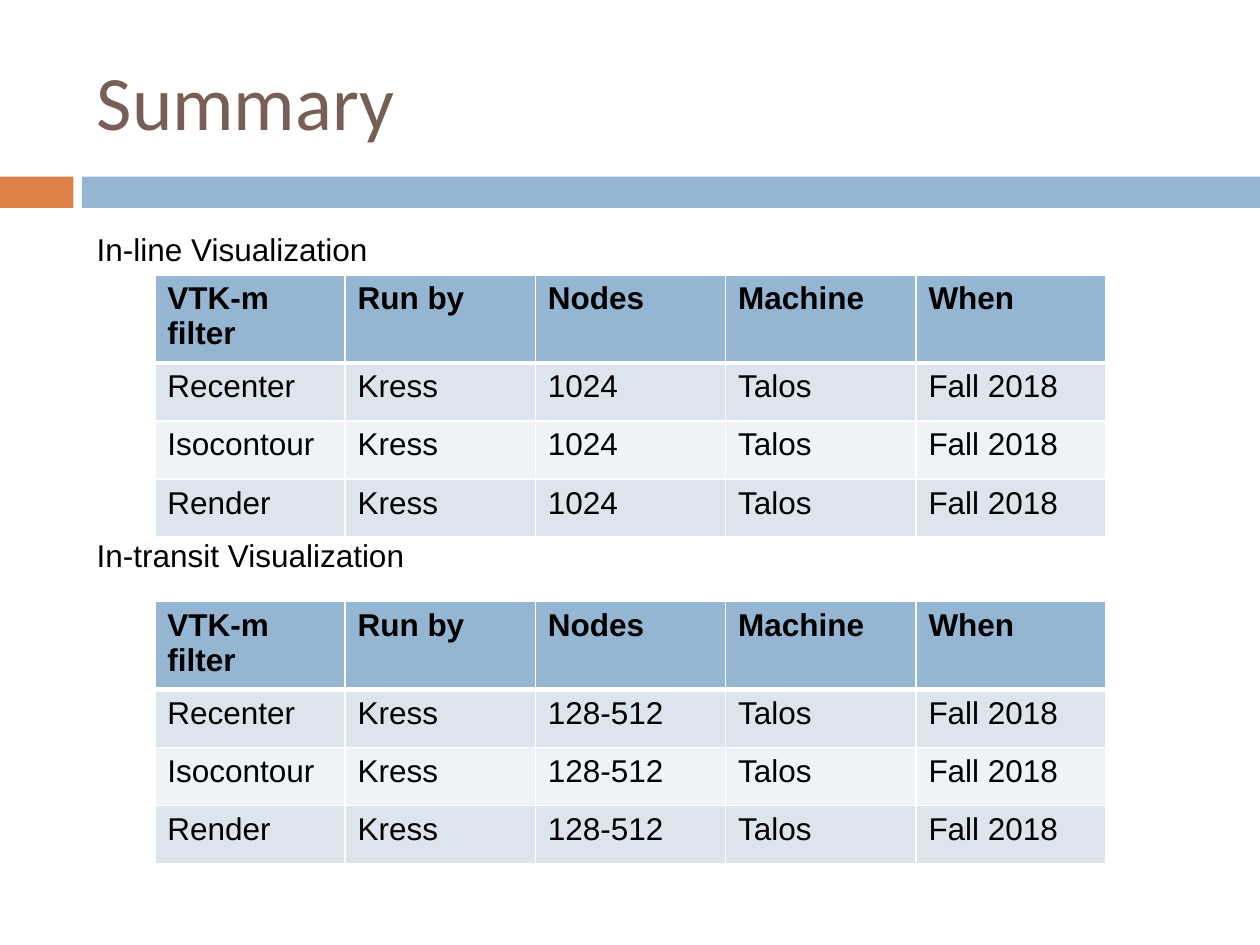
from dataclasses import dataclass

from lxml import etree
from pptx import Presentation
from pptx.dml.color import RGBColor
from pptx.enum.shapes import MSO_SHAPE
from pptx.enum.text import MSO_ANCHOR
from pptx.oxml.ns import qn
from pptx.util import Cm, Pt

RECTANGLE = MSO_SHAPE.RECTANGLE
MIDDLE = MSO_ANCHOR.MIDDLE


@dataclass(frozen=True)
class Theme:
    orange: str = "DD8047"
    blue: str = "94B6D2"
    brown: str = "775F55"
    black: str = "000000"
    white: str = "FFFFFF"
    bands: tuple = ("DCE5EE", "EEF3F7")
    title_font: str = "Calibri"
    body_font: str = "Arial"
    title_size: int = 44
    body_size: int = 18


theme = Theme()


def add_run(frame, text, font=theme.body_font, size=theme.body_size, color=theme.black, bold=False):
    run = frame.paragraphs[0].add_run()
    run.text = text
    run.font.name = font
    run.font.size = Pt(size)
    run.font.bold = bold
    run.font.color.rgb = RGBColor.from_string(color)


def set_borders(cell, widths):
    properties = cell._tc.get_or_add_tcPr()
    for position, (side, width) in enumerate(widths.items()):
        line = etree.Element(qn(f"a:ln{side}"), w=str(Pt(width)))
        fill = etree.SubElement(line, qn("a:solidFill"))
        etree.SubElement(fill, qn("a:srgbClr"), val=theme.white)
        properties.insert(position, line)


prs = Presentation()
prs.slide_width = Cm(25.4)
prs.slide_height = Cm(19.05)
slide = prs.slides.add_slide(prs.slide_layouts[6])

for left, width, color in ((0, 1.48, theme.orange), (1.65, 23.75, theme.blue)):
    band = slide.shapes.add_shape(RECTANGLE, Cm(left), Cm(3.56), Cm(width), Cm(0.63))
    band.shadow.inherit = False
    band.fill.solid()
    band.fill.fore_color.rgb = RGBColor.from_string(color)
    band.line.fill.background()

title = slide.shapes.add_textbox(Cm(1.7), Cm(0.64), Cm(22.66), Cm(2.74)).text_frame
title.word_wrap = True
title.vertical_anchor = MIDDLE
add_run(title, "Summary", theme.title_font, theme.title_size, theme.brown)

headings = ("VTK-m filter", "Run by", "Nodes", "Machine", "When")
filters = ("Recenter", "Isocontour", "Render")
sections = (
    ("In-line Visualization", 4.52, 6.2, 5.54, "1024"),
    ("In-transit Visualization", 10.69, 6.96, 12.12, "128-512"),
)

for heading, heading_top, heading_width, table_top, nodes in sections:
    records = [headings] + [(name, "Kress", nodes, "Talos", "Fall 2018") for name in filters]
    runs_table = slide.shapes.add_table(
        len(records), len(headings), Cm(3.12), Cm(table_top), Cm(19.18), Cm(4.75)
    ).table
    for row_index, record in enumerate(records):
        is_header = row_index == 0
        runs_table.rows[row_index].height = Cm(1.24 if is_header else 1.17)
        row_color = theme.blue if is_header else theme.bands[(row_index - 1) % 2]
        borders = {"L": 1, "R": 1, "T": 3 if row_index == 1 else 1, "B": 3 if is_header else 1}
        for column_index, value in enumerate(record):
            cell = runs_table.cell(row_index, column_index)
            cell.fill.solid()
            cell.fill.fore_color.rgb = RGBColor.from_string(row_color)
            set_borders(cell, borders)
            add_run(cell.text_frame, value, bold=is_header)

    label = slide.shapes.add_textbox(Cm(1.7), Cm(heading_top), Cm(heading_width), Cm(1.02)).text_frame
    label.word_wrap = False
    add_run(label, heading)

prs.save("out.pptx")
